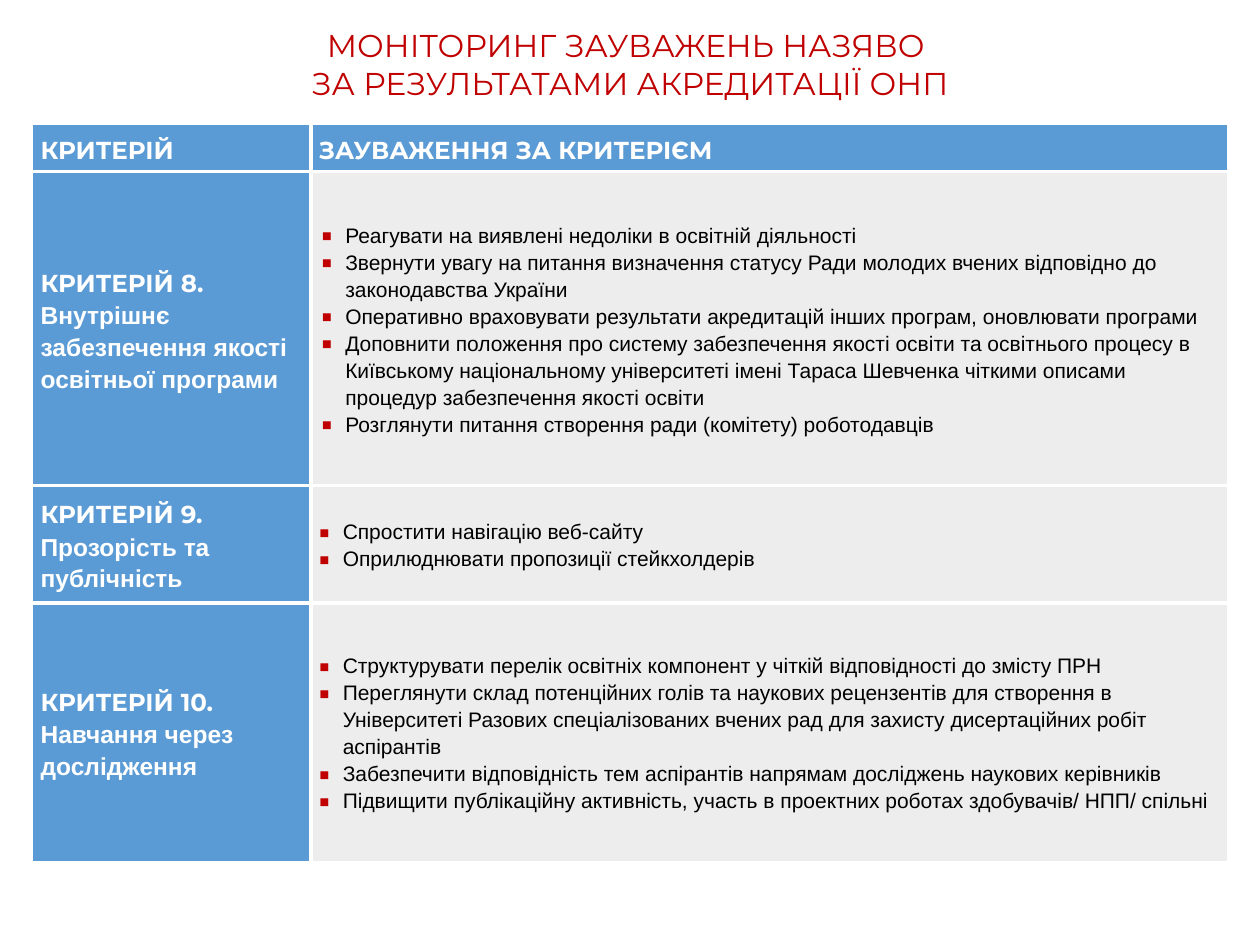
from lxml import etree
from pptx import Presentation
from pptx.dml.color import RGBColor
from pptx.enum.text import MSO_ANCHOR, MSO_AUTO_SIZE, PP_ALIGN
from pptx.oxml.ns import qn
from pptx.util import Pt

CENTER = PP_ALIGN.CENTER
MIDDLE = MSO_ANCHOR.MIDDLE
TOP = MSO_ANCHOR.TOP
GROW = MSO_AUTO_SIZE.SHAPE_TO_FIT_TEXT

TITLE = ["МОНІТОРИНГ ЗАУВАЖЕНЬ НАЗЯВО ", "ЗА РЕЗУЛЬТАТАМИ АКРЕДИТАЦІЇ ОНП"]
HEADERS = ["КРИТЕРІЙ", "ЗАУВАЖЕННЯ ЗА КРИТЕРІЄМ"]
CRITERIA = [
    {
        "number": "КРИТЕРІЙ 8. ",
        "name": "Внутрішнє забезпечення якості освітньої програми",
        "indent": 15.1,
        "remarks": [
            "Реагувати на виявлені недоліки в освітній діяльності",
            "Звернути увагу на питання визначення статусу Ради молодих вчених відповідно до законодавства України",
            "Оперативно враховувати результати акредитацій інших програм, оновлювати програми",
            "Доповнити положення про систему забезпечення якості освіти та освітнього процесу в Київському національному університеті імені Тараса Шевченка чіткими описами процедур забезпечення якості освіти",
            "Розглянути питання створення ради (комітету) роботодавців",
        ],
    },
    {
        "number": "КРИТЕРІЙ 9. ",
        "name": "Прозорість та публічність",
        "indent": 13.7,
        "remarks": [
            "Спростити навігацію веб-сайту",
            "Оприлюднювати пропозиції стейкхолдерів",
        ],
    },
    {
        "number": "КРИТЕРІЙ 10. ",
        "name": "Навчання через дослідження",
        "indent": 13.7,
        "remarks": [
            "Структурувати перелік освітніх компонент у чіткій відповідності до змісту ПРН",
            "Переглянути склад потенційних голів та наукових рецензентів для створення в Університеті Разових спеціалізованих вчених рад для захисту дисертаційних робіт аспірантів",
            "Забезпечити відповідність тем аспірантів напрямам досліджень наукових керівників",
            "Підвищити публікаційну активність, участь в проектних роботах здобувачів/ НПП/ спільні",
        ],
    },
]

THEME = {
    "accent": "C00000",
    "blue": "5B9BD5",
    "grey": "EDEDED",
    "border": "FFFFFF",
    "title": {"name": "Montserrat", "size": 18, "bold": False, "color": "C00000"},
    "heading": {"name": "Montserrat", "size": 14, "bold": True, "color": "FFFFFF"},
    "criterion": {"name": "Arial", "size": 14, "bold": True, "color": "FFFFFF"},
    "remark": {"name": "Arial", "size": 12, "bold": False, "color": "000000"},
}

SLIDE_WIDTH, SLIDE_HEIGHT = 720, 540
MARGIN = 18.7
CONTENT_WIDTH = SLIDE_WIDTH - 2 * MARGIN
TITLE_TOP, TITLE_HEIGHT = 11.5, 50.4
TABLE_TOP = 71.3
FIRST_COLUMN = 159
COLUMN_WIDTHS = [FIRST_COLUMN, CONTENT_WIDTH - FIRST_COLUMN]
ROW_HEIGHTS = [21.6, 179.4, 67, 147.6]
LINE_SPACING = 1.15
HANGING = 13.7
OUTER_LINE, INNER_LINE = 0.45, 2.21
CELL_MARGINS = {"margin_left": 4.5, "margin_right": 4.5, "margin_top": 3.6, "margin_bottom": 3.6}


def add_run(paragraph, text, style):
    run = paragraph.add_run()
    run.text = text
    for key in ("name", "bold"):
        setattr(run.font, key, style[key])
    run.font.size = Pt(style["size"])
    run.font.color.rgb = RGBColor.from_string(style["color"])


def paragraph_at(text_frame, index):
    return text_frame.add_paragraph() if index else text_frame.paragraphs[0]


def add_bullet(paragraph, indent):
    properties = paragraph._p.get_or_add_pPr()
    properties.set("marL", str(Pt(indent)))
    properties.set("indent", str(-Pt(HANGING)))
    color = etree.SubElement(properties, qn("a:buClr"))
    etree.SubElement(color, qn("a:srgbClr"), val=THEME["accent"])
    etree.SubElement(properties, qn("a:buSzPct"), val="150000")
    etree.SubElement(properties, qn("a:buFont"), typeface="Arial")
    etree.SubElement(properties, qn("a:buChar"), char="▪")


def set_borders(cell, row, column):
    outer_sides = {
        "lnL": column == 0,
        "lnR": column == len(COLUMN_WIDTHS) - 1,
        "lnT": row == 0,
        "lnB": row == len(ROW_HEIGHTS) - 1,
    }
    properties = cell._tc.get_or_add_tcPr()
    for position, (side, is_outer) in enumerate(outer_sides.items()):
        line = etree.Element(qn(f"a:{side}"), w=str(Pt(OUTER_LINE if is_outer else INNER_LINE)))
        fill = etree.SubElement(line, qn("a:solidFill"))
        etree.SubElement(fill, qn("a:srgbClr"), val=THEME["border"])
        properties.insert(position, line)


def format_cell(cell, row, column):
    for name, value in CELL_MARGINS.items():
        setattr(cell, name, Pt(value))
    cell.vertical_anchor = MIDDLE if row else TOP
    set_borders(cell, row, column)
    cell.fill.solid()
    color = THEME["grey"] if row and column else THEME["blue"]
    cell.fill.fore_color.rgb = RGBColor.from_string(color)
    for paragraph in cell.text_frame.paragraphs:
        paragraph.line_spacing = LINE_SPACING


def add_title(slide):
    box = slide.shapes.add_textbox(Pt(MARGIN), Pt(TITLE_TOP), Pt(CONTENT_WIDTH), Pt(TITLE_HEIGHT))
    box.text_frame.word_wrap = True
    box.text_frame.auto_size = GROW
    for index, text in enumerate(TITLE):
        paragraph = paragraph_at(box.text_frame, index)
        paragraph.alignment = CENTER
        add_run(paragraph, text, THEME["title"])


def add_criteria_table(slide):
    table = slide.shapes.add_table(
        len(ROW_HEIGHTS), len(COLUMN_WIDTHS),
        Pt(MARGIN), Pt(TABLE_TOP), Pt(CONTENT_WIDTH), Pt(sum(ROW_HEIGHTS)),
    ).table
    table.horz_banding = False
    for column, width in zip(table.columns, COLUMN_WIDTHS):
        column.width = Pt(width)
    for row, height in zip(table.rows, ROW_HEIGHTS):
        row.height = Pt(height)

    for column, text in enumerate(HEADERS):
        add_run(table.cell(0, column).text_frame.paragraphs[0], text, THEME["heading"])
    for row, criterion in enumerate(CRITERIA, start=1):
        label = table.cell(row, 0).text_frame.paragraphs[0]
        add_run(label, criterion["number"], THEME["heading"])
        add_run(label, criterion["name"], THEME["criterion"])
        remarks_frame = table.cell(row, 1).text_frame
        for index, remark in enumerate(criterion["remarks"]):
            paragraph = paragraph_at(remarks_frame, index)
            add_bullet(paragraph, criterion["indent"])
            add_run(paragraph, remark, THEME["remark"])

    for row in range(len(ROW_HEIGHTS)):
        for column in range(len(COLUMN_WIDTHS)):
            format_cell(table.cell(row, column), row, column)


def main():
    presentation = Presentation()
    presentation.slide_width = Pt(SLIDE_WIDTH)
    presentation.slide_height = Pt(SLIDE_HEIGHT)
    slide = presentation.slides.add_slide(presentation.slide_layouts[6])
    add_criteria_table(slide)
    add_title(slide)
    presentation.save("out.pptx")


if __name__ == "__main__":
    main()
